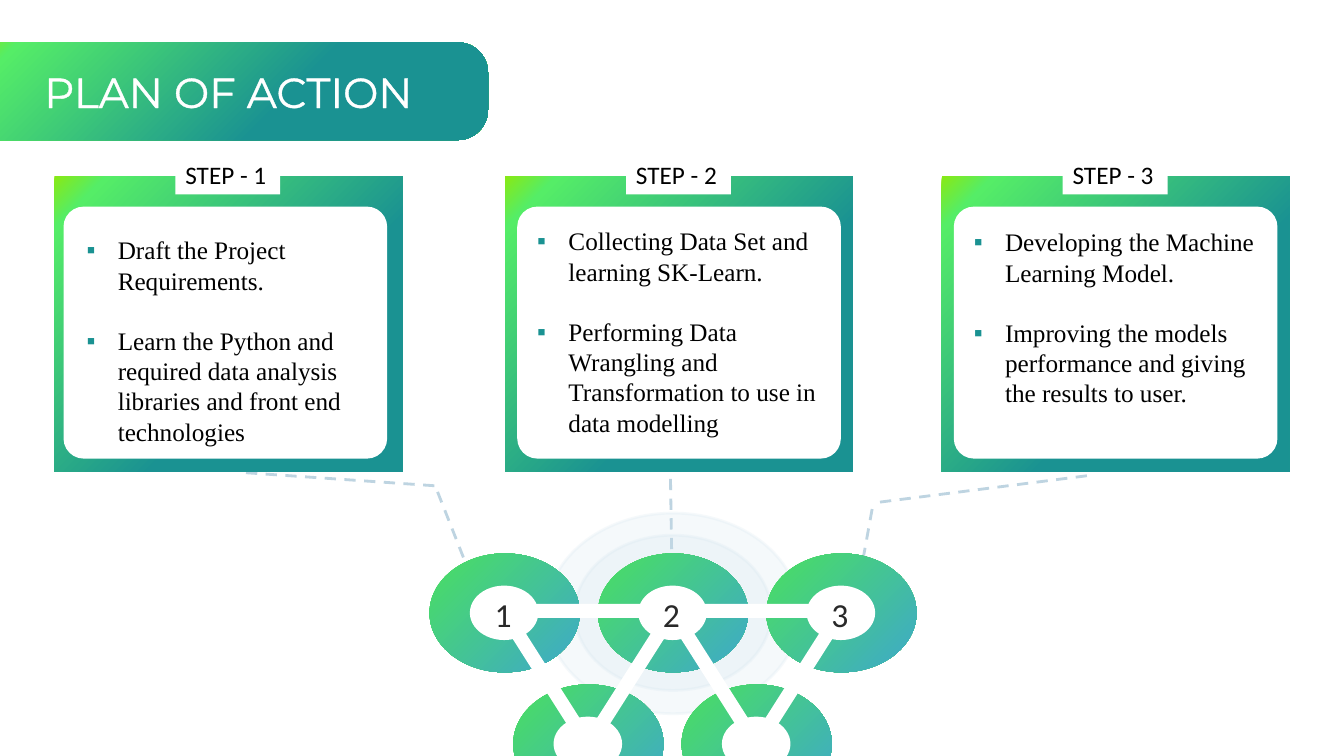
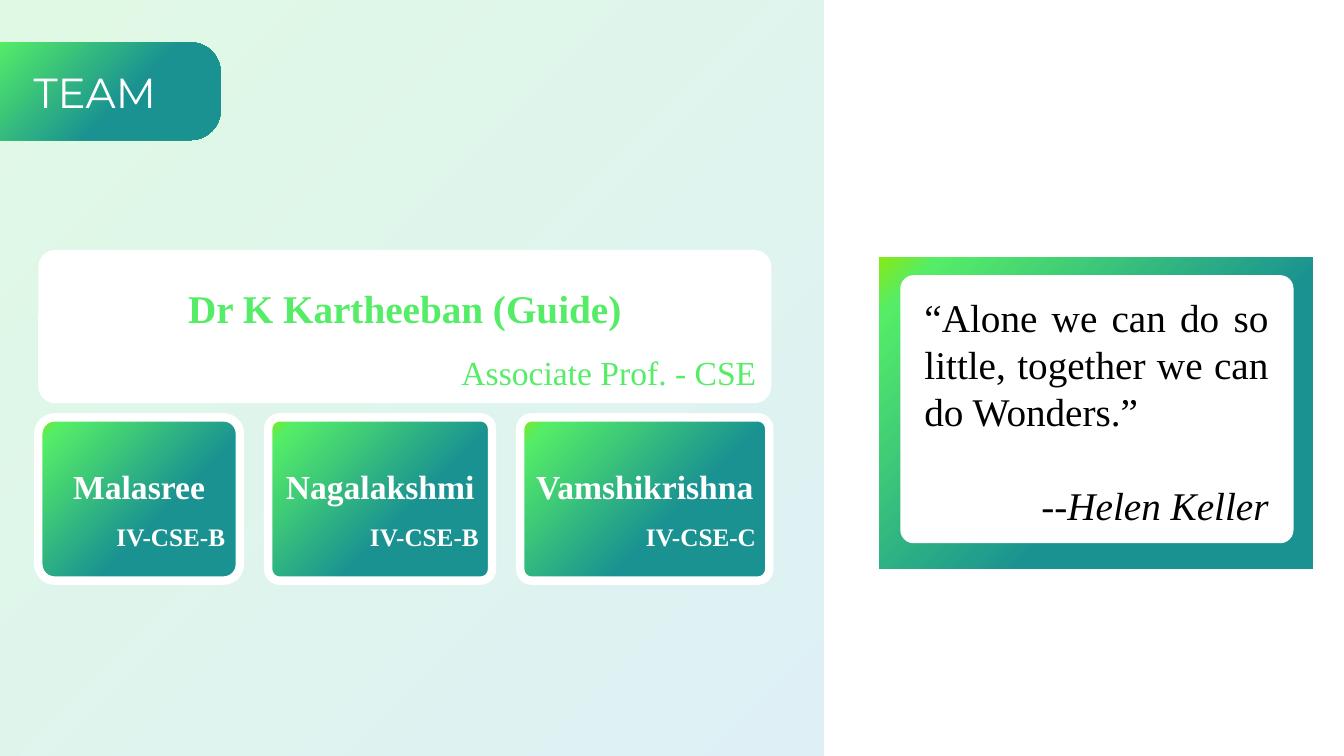
from lxml.etree import SubElement
from pptx import Presentation
from pptx.dml.color import RGBColor
from pptx.enum.dml import MSO_LINE
from pptx.enum.shapes import MSO_CONNECTOR, MSO_SHAPE
from pptx.enum.text import MSO_ANCHOR, PP_ALIGN
from pptx.oxml.ns import qn
from pptx.util import Inches, Pt

WHITE = RGBColor(0xFF, 0xFF, 0xFF)
BLACK = RGBColor(0, 0, 0)
INK = RGBColor(0x29, 0x29, 0x29)
TEAL = RGBColor(0x1A, 0x92, 0x92)
GREEN = RGBColor(0x55, 0xED, 0x67)
LIME = RGBColor(0x89, 0xE9, 0x15)
LEAF = RGBColor(0x4A, 0xE0, 0x60)
BLUE = RGBColor(0x3E, 0xA8, 0xCA)
MIST = RGBColor(0xC9, 0xDE, 0xEA)
DASH = RGBColor(0xBE, 0xD4, 0xE1)
BRAND = [(0, LIME), (8, GREEN), (61, TEAL)]
FRESH = [(0, LEAF), (100, BLUE)]
SERIF, SANS, HEAD = "Times New Roman", "Calibri", "Montserrat"
RECT, ROUND, OVAL = MSO_SHAPE.RECTANGLE, MSO_SHAPE.ROUNDED_RECTANGLE, MSO_SHAPE.OVAL


def paint(shape, fill):
    """Fill with one colour, or with a diagonal gradient given as stops."""
    if isinstance(fill, RGBColor):
        shape.fill.solid()
        shape.fill.fore_color.rgb = fill
        return
    shape.fill.gradient()
    shape.fill.gradient_angle = 315
    stops = next(shape.element.iter(qn("a:gsLst")))
    stops.clear()
    for pos, color in fill:
        stop = SubElement(stops, qn("a:gs"), pos=str(pos * 1000))
        SubElement(stop, qn("a:srgbClr"), val=str(color))


def fade(shape, share):
    """Make every colour of the fill and line see-through."""
    for color in shape.element.spPr.iter(qn("a:srgbClr")):
        SubElement(color, qn("a:alpha"), val=str(share * 1000))


def add(slide, kind, x, y, w, h, fill, round=None):
    shape = slide.shapes.add_shape(kind, Inches(x), Inches(y), Inches(w), Inches(h))
    shape.shadow.inherit = False
    shape.line.fill.background()
    paint(shape, fill)
    if round is not None:
        shape.adjustments[0] = round
    return shape


def note(slide, x, y, w, h):
    box = slide.shapes.add_textbox(Inches(x), Inches(y), Inches(w), Inches(h))
    box.text_frame.word_wrap = True
    return box.text_frame


def style(para, size, color, font=SERIF, align=PP_ALIGN.LEFT, bold=False, italic=False):
    para.alignment = align
    for run in para.runs:
        run.font.size = Pt(size)
        run.font.name = font
        run.font.color.rgb = color
        run.font.bold = bold
        run.font.italic = italic


def start(deck, text, width):
    """Add a slide with its title on a band from the left edge."""
    slide = deck.slides.add_slide(deck.slide_layouts[5])
    title = slide.shapes.title

    def band():
        shape = add(slide, ROUND, -0.31, 0.42, width, 0.97, BRAND, 0.31)
        title.left, title.top = shape.left, shape.top
        title.width, title.height = shape.width, shape.height
        title.text_frame.text = text
        title.text_frame.vertical_anchor = MSO_ANCHOR.MIDDLE
        style(title.text_frame.paragraphs[0], 30, WHITE, HEAD, PP_ALIGN.CENTER)
        slide.shapes.element.append(title.element)
    return slide, band


def link(slide, x1, y1, x2, y2):
    line = slide.shapes.add_connector(
        MSO_CONNECTOR.STRAIGHT, Inches(x1), Inches(y1), Inches(x2), Inches(y2))
    line.line.color.rgb = DASH
    line.line.width = Pt(2)
    line.line.dash_style = MSO_LINE.DASH
    SubElement(line.element.spPr, qn("a:effectLst"))


def ring(slide, x, y):
    add(slide, OVAL, x, y, 1.49, 1.18, FRESH)
    add(slide, OVAL, x + 0.4, y + 0.32, 0.68, 0.54, WHITE)


def wedge(slide, x, y, w, h):
    """Outline a triangle that points down."""
    pen = slide.shapes.build_freeform(Inches(x), Inches(y), 1.0)
    pen.add_line_segments(
        [(Inches(x + w), Inches(y)), (Inches(x + w / 2), Inches(y + h))], close=True)
    shape = pen.convert_to_shape()
    shape.shadow.inherit = False
    shape.fill.background()
    shape.line.color.rgb = WHITE
    shape.line.width = Pt(10)


def network(slide, x, y):
    """Draw the halo, three rings over two, their links and numbers."""
    step = 1.67
    for dx, dy, w, h in [(1.16, -0.4, 2.51, 1.99), (1.44, -0.18, 1.95, 1.54)]:
        halo = add(slide, OVAL, x + dx, y + dy, w, h, MIST)
        halo.line.color.rgb = MIST
        halo.line.width = Pt(2)
        fade(halo, 17)
    for i in range(2):
        ring(slide, x + 0.83 + i * step, y + 1.3)
    for i in range(3):
        ring(slide, x + i * step, y)
    for i in range(2):
        wedge(slide, x + 0.73 + i * step, y + 0.57, 1.69, 1.33)
    for i in range(3):
        frame = note(slide, x + 0.46 + i * step, y + 0.37, 0.54, 0.46)
        frame.margin_left = frame.margin_right = Inches(0.03)
        frame.margin_top = frame.margin_bottom = Inches(0.03)
        frame.vertical_anchor = MSO_ANCHOR.MIDDLE
        frame.text = str(i + 1)
        style(frame.paragraphs[0], 24, INK, SANS, PP_ALIGN.CENTER)


def bullet(para):
    props = para._p.get_or_add_pPr()
    props.set("marL", str(Inches(0.31)))
    props.set("indent", str(-Inches(0.31)))
    color = SubElement(props, qn("a:buClr"))
    SubElement(color, qn("a:srgbClr"), val=str(TEAL))
    SubElement(props, qn("a:buFont"), typeface="Arial")
    SubElement(props, qn("a:buChar"), char="▪")


def card(slide, x, y, label, items, inset, drop):
    """Draw a step card; inset and drop place its panel and its text."""
    add(slide, ROUND, x, y, 3.45, 2.93, BRAND, 0)
    tab = add(slide, RECT, x + 1.2, y - 0.22, 1.04, 0.4, WHITE).text_frame
    tab.text = label
    style(tab.paragraphs[0], 18, BLACK, SANS)
    add(slide, ROUND, x + inset, y + 0.3, 3.21, 2.5, WHITE, 0.08)
    frame = note(slide, x + 0.22, y + drop, 2.99, 2.3)
    frame.text = "\n".join(items)
    for i, para in enumerate(frame.paragraphs):
        style(para, 18, BLACK)
        para.space_before = Pt(21.5 if i else 0)
        bullet(para)


def plan(deck):
    slide, band = start(deck, "PLAN OF ACTION", 5.15)
    for ends in [(8.65, 5.05, 8.51, 5.82), (6.65, 4.75, 6.67, 5.98),
                 (2.44, 4.69, 4.32, 4.82), (4.34, 4.88, 4.62, 5.59),
                 (10.78, 4.72, 8.66, 4.99)]:
        link(slide, *ends)
    network(slide, 4.26, 5.49)
    band()
    run = slide.shapes.title.text_frame.paragraphs[0].runs[0]
    edge = SubElement(run.font._element, qn("a:ln"), w=str(Pt(1.5)))
    run.font._element.insert(0, edge)
    SubElement(SubElement(edge, qn("a:solidFill")), qn("a:srgbClr"), val=str(WHITE))
    steps = [
        (0.54, 0.09, 0.53, ["Draft the Project Requirements.",
                            "Learn the Python and required data analysis libraries "
                            "and front end technologies"]),
        (5.01, 0.12, 0.44, ["Collecting Data Set and learning SK-Learn.",
                            "Performing Data Wrangling and Transformation to use in "
                            "data modelling"]),
        (9.34, 0.12, 0.45, ["Developing the Machine Learning Model.",
                            "Improving the models performance and giving the results "
                            "to user."]),
    ]
    for i, (x, inset, drop, items) in enumerate(steps, 1):
        card(slide, x, 1.75, f"STEP - {i}", items, inset, drop)


def badge(shape, name, role, color, sizes, bold):
    """Write a centred name above a role at the right."""
    frame = shape.text_frame
    frame.text = f"{name}\n{role}"
    top, end = frame.paragraphs
    style(top, sizes[0], color, align=PP_ALIGN.CENTER, bold=True)
    style(end, sizes[1], color, align=PP_ALIGN.RIGHT, bold=bold)
    top.line_spacing = end.line_spacing = 1.5


def people(slide, x, y):
    guide = add(slide, ROUND, x, y, 7.27, 1.52, WHITE, 0.11)
    badge(guide, "Dr K Kartheeban (Guide)", "Associate Prof. - CSE", GREEN, (28, 24), False)
    for name, role, width, curve in [("Malasree", "IV-CSE-B", 2, 0.1),
                                     ("Nagalakshmi", "IV-CSE-B", 2.22, 0.07),
                                     ("Vamshikrishna", "IV-CSE-C", 2.47, 0.07)]:
        tile = add(slide, ROUND, x, y + 1.66, width, 1.62, BRAND, curve)
        tile.line.color.rgb = WHITE
        tile.line.width = Pt(6)
        badge(tile, name, role, WHITE, (24, 18), True)
        x += width + 0.28


def quote(slide, x, y):
    add(slide, RECT, x, y, 4.3, 3.09, BRAND)
    add(slide, ROUND, x + 0.21, y + 0.18, 3.9, 2.66, WHITE, 0.05)
    frame = note(slide, x + 0.35, y + 0.31, 3.61, 2.46)
    frame.text = "“Alone we can do so little, together we can do Wonders.”\n--Helen Keller"
    words, author = frame.paragraphs
    style(words, 28, BLACK, align=PP_ALIGN.JUSTIFY)
    style(author, 28, BLACK, align=PP_ALIGN.RIGHT, italic=True)
    author.space_before = Pt(33.5)


def team(deck):
    slide, band = start(deck, "TEAM", 2.5)
    fade(add(slide, RECT, 0, 0, 8.17, 7.5, FRESH), 17)
    band()
    people(slide, 0.38, 2.48)
    quote(slide, 8.72, 2.55)


def main():
    deck = Presentation()
    deck.slide_width, deck.slide_height = Inches(13.33), Inches(7.5)
    plan(deck)
    team(deck)
    deck.save("out.pptx")


if __name__ == "__main__":
    main()
